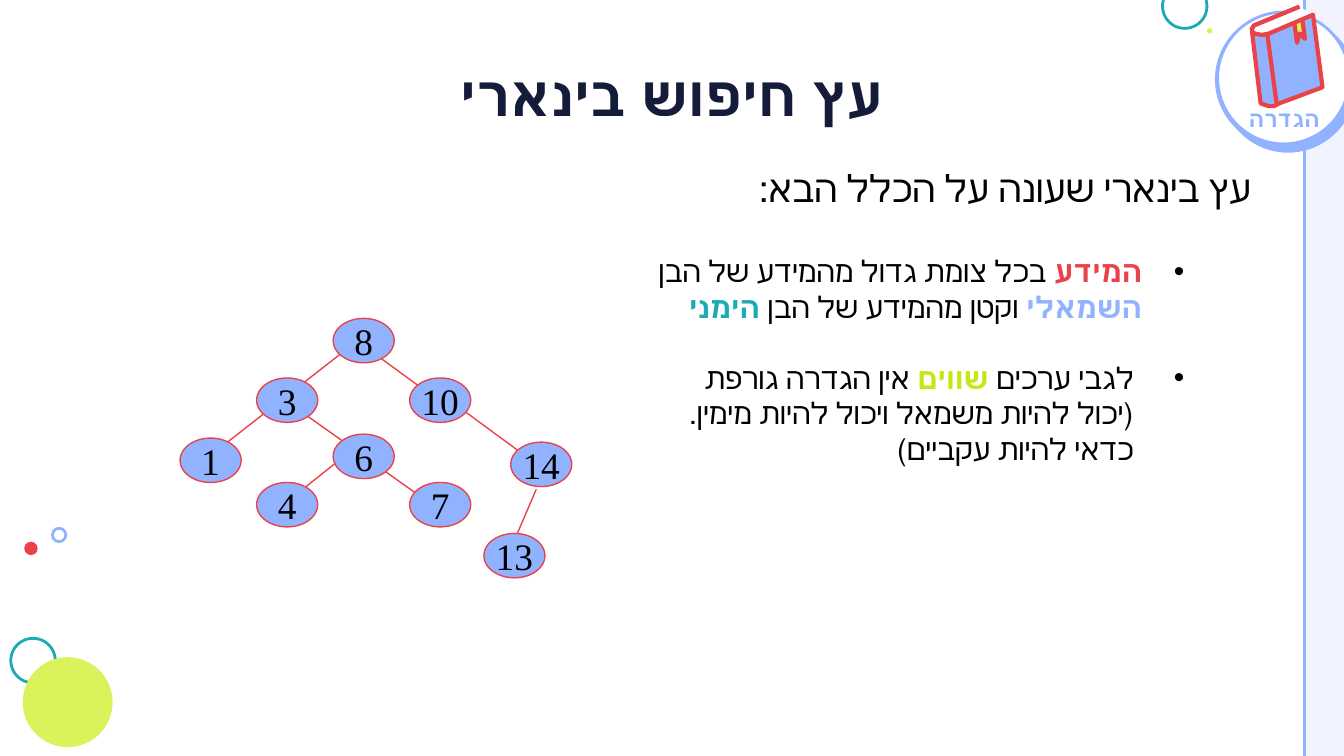
from lxml.etree import SubElement
from pptx import Presentation
from pptx.dml.color import RGBColor
from pptx.enum.shapes import MSO_CONNECTOR, MSO_SHAPE
from pptx.enum.text import MSO_ANCHOR, MSO_AUTO_SIZE, PP_ALIGN
from pptx.oxml.ns import qn
from pptx.util import Pt


class Theme:
    blue, red, teal = "91B3FF", "E94249", "1CABB5"
    lime, olive, pale = "DCF25B", "C8E712", "F1F3FE"
    navy, black, white = "141C3A", "000000", "FFFFFF"
    sans, serif = "Arial", "Times New Roman"
    head, lead, body, label, node = 30, 20, 16, 12, 20
    thin, mid, thick = 0.75, 1.5, 2.25


T = Theme

# Content: runs are (text, accent colour or None)
TITLE = "עץ חיפוש בינארי"
BADGE = "הגדרה"
LEAD = "עץ בינארי שעונה על הכלל הבא:"
# Bullets: margin, indent, space before, runs
BULLETS = [
    (58.5, -22.5, 23, [("המידע", T.red), (" בכל צומת גדול מהמידע של הבן ", None),
                       ("השמאלי", T.blue), (" וקטן מהמידע של הבן ", None),
                       ("הימני", T.teal)]),
    (63, -27, 18.5, [("לגבי ערכים ", None), ("שווים", T.olive),
                     (" אין הגדרה גורפת\n(יכול להיות משמאל ויכול להיות מימין.\n"
                      "כדאי להיות עקביים)", None)]),
]

# Tree: nodes sit on equal columns, the right branch lies off the grid
COL, STEP, NODE_W, NODE_H = 96.5, 41, 32.7, 23.8
NODES = [("8", 2, 170.6), ("7", 3, 258.5), ("1", 0, 234.7), ("3", 1, 202.5),
         ("10", 3, 202.5), ("4", 1, 258.5), ("6", 2, 232.6),
         ("14", 4.32, 236.9), ("13", 3.97, 285.8)]
EDGES = [(196.6, 186.5, 229, 210.2), (146.9, 210.2, 236.9, 274.3),
         (196.6, 178.6, 114.5, 242.6), (196.6, 234.7, 146.9, 274.3),
         (249.8, 221, 282.2, 244.8), (287.3, 262.1, 276.5, 287.3)]

# Circles: left, top, diameter, fill, line
DOTS = [(622.8, -8.6, 23.8, None, T.teal), (5.8, 342, 23.8, None, T.teal),
        (12.2, 352.1, 48.2, T.lime, None), (13, 290.2, 7.2, T.red, None),
        (28.1, 283, 7.2, None, T.blue), (646.6, 15.1, 2.9, T.lime, None)]
DISCS = [(651.6, 7.2, 70.6), (652.3, 6.5, 70.6)]

# Book: points, fill
TOP = [(696.2, 3.6), (671.8, 13.7), (670.7, 15.5), (671, 17.3), (672.5, 18),
       (676, 18.7), (679.7, 18), (703.4, 7.9)]
COVER = TOP + [(708.5, 46.8), (685.4, 55.4), (682.5, 56.9), (679.7, 56.9),
               (677.5, 56.2), (675.4, 55.4), (670.7, 16.6)]
BOOK = [(COVER, T.blue), ([(679, 18.7), (684, 56.2)], None),
        ([(697.7, 10.8), (699.1, 20.9), (696.2, 18), (694.8, 23), (693.4, 12.2)], T.lime),
        ([(694.1, 4.3), (701.3, 8.6)], None), (TOP, T.white)]

deck = Presentation()
deck.slide_width, deck.slide_height = Pt(720), Pt(405)
slide = deck.slides.add_slide(deck.slide_layouts[6])
shapes = slide.shapes


def rgb(code):
    return RGBColor.from_string(code)


def paint(shape, fill, line=None, width=T.mid):
    shape.shadow.inherit = False
    if fill:
        shape.fill.solid()
        shape.fill.fore_color.rgb = rgb(fill)
    else:
        shape.fill.background()
    if line:
        shape.line.color.rgb = rgb(line)
        shape.line.width = Pt(width)
    else:
        shape.line.fill.background()
    return shape


def form(kind, x, y, w, h, *style):
    return paint(shapes.add_shape(kind, Pt(x), Pt(y), Pt(w), Pt(h)), *style)


def link(ends, color, width):
    line = shapes.add_connector(MSO_CONNECTOR.STRAIGHT, *map(Pt, ends))
    line.line.color.rgb = rgb(color)
    line.line.width = Pt(width)
    SubElement(line._element.spPr, qn("a:effectLst"))


def disc(x, y, size):
    shape = form(MSO_SHAPE.OVAL, x, y, size, size, T.white, T.blue)
    glow = shape._element.spPr.find(qn("a:effectLst"))
    cast = SubElement(glow, qn("a:outerShdw"), blurRad="0", dist=str(Pt(4.5)),
                      dir=str(46 * 60000), algn="bl", rotWithShape="0")
    SubElement(cast, qn("a:srgbClr"), val=T.blue)


def area(x, y, w, h, inset=None):
    box = shapes.add_textbox(Pt(x), Pt(y), Pt(w), Pt(h))
    frame = box.text_frame
    frame.word_wrap = True
    if inset is not None:
        frame.margin_left = frame.margin_right = Pt(inset)
        frame.margin_top = frame.margin_bottom = Pt(inset)
    return frame


def style(para, size, color, align, face=T.sans, bold=False, rtl=True):
    para.alignment = align
    if rtl:
        para._p.get_or_add_pPr().set("rtl", "1")
    font = para.font
    font.name, font.size, font.bold = face, Pt(size), bold
    font.color.rgb = rgb(color)


def write(para, runs):
    for text, accent in runs:
        for i, part in enumerate(text.split("\n")):
            if i:
                para.add_line_break()
            run = para.add_run()
            run.text = part
            if accent:
                run.font.bold = True
                run.font.color.rgb = rgb(accent)


def bullet(para, margin, indent):
    props = para._p.get_or_add_pPr()
    props.set("marL", str(Pt(margin)))
    props.set("indent", str(Pt(indent)))
    tint = SubElement(props, qn("a:buClr"))
    SubElement(tint, qn("a:srgbClr"), val=T.black)
    SubElement(props, qn("a:buFont"), typeface=T.sans)
    SubElement(props, qn("a:buChar"), char="•")


# Side band and decoration
form(MSO_SHAPE.RECTANGLE, 699, 0, 21, 405, T.pale)
link((699, 0, 699, 405), T.blue, T.mid)
for x, y, size, fill, line in DOTS:
    form(MSO_SHAPE.OVAL, x, y, size, size, fill, line)

# Definition badge
for spot in DISCS:
    disc(*spot)
frame = area(659.5, 49.7, 56.9, 20.9, 0)
frame.vertical_anchor = MSO_ANCHOR.BOTTOM
para = frame.paragraphs[0]
para.line_spacing = 0.8
write(para, [(BADGE, None)])
style(para, T.label, T.blue, PP_ALIGN.CENTER, bold=True)
for points, fill in BOOK:
    first, *rest = [(Pt(x), Pt(y)) for x, y in points]
    pen = shapes.build_freeform(*first)
    pen.add_line_segments(rest, close=False)
    paint(pen.convert_to_shape(), fill, T.red, T.thick)

# Title
para = area(42.5, 32.4, 635, 51.8, 0).paragraphs[0]
write(para, [(TITLE, None)])
style(para, T.head, T.navy, PP_ALIGN.CENTER, bold=True)

# Rule and its bullets
frame = area(306, 85, 371.5, 172)
frame.auto_size = MSO_AUTO_SIZE.SHAPE_TO_FIT_TEXT
para = frame.paragraphs[0]
write(para, [(LEAD, None)])
style(para, T.lead, T.black, PP_ALIGN.RIGHT)
for margin, indent, gap, runs in BULLETS:
    para = frame.add_paragraph()
    para.level = 1
    para.space_before = Pt(gap)
    bullet(para, margin, indent)
    write(para, runs)
    style(para, T.body, T.black, PP_ALIGN.RIGHT)

# Search tree
for ends in EDGES:
    link(ends, T.red, T.thin)
for text, col, y in NODES:
    node = form(MSO_SHAPE.OVAL, COL + 82 + (col - 2) * STEP, y, NODE_W, NODE_H,
                T.blue, T.red, T.thin)
    frame = node.text_frame
    frame.word_wrap = False
    frame.vertical_anchor = MSO_ANCHOR.MIDDLE
    para = frame.paragraphs[0]
    write(para, [(text, None)])
    style(para, T.node, T.black, PP_ALIGN.CENTER, T.serif, rtl=False)

deck.save("out.pptx")
